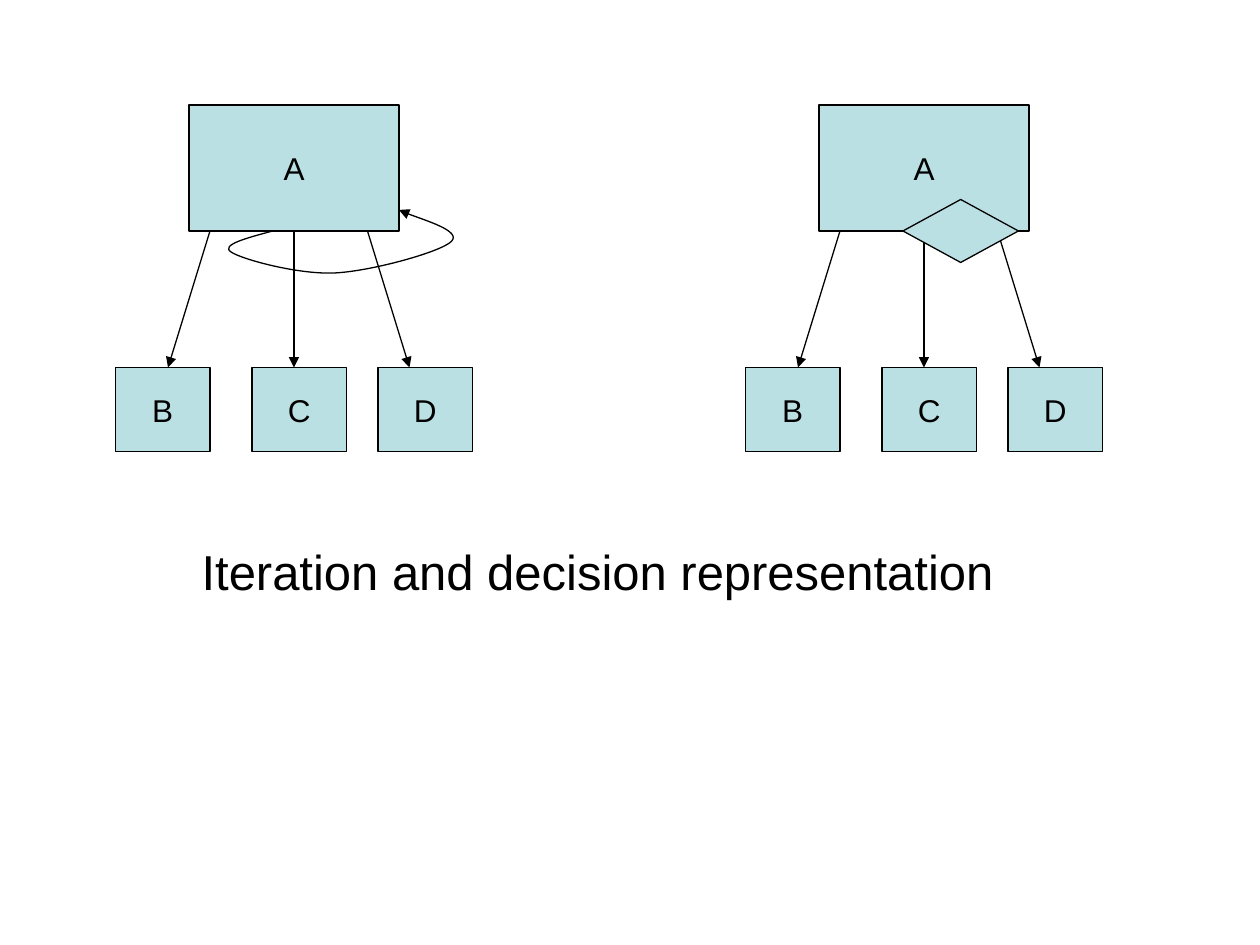
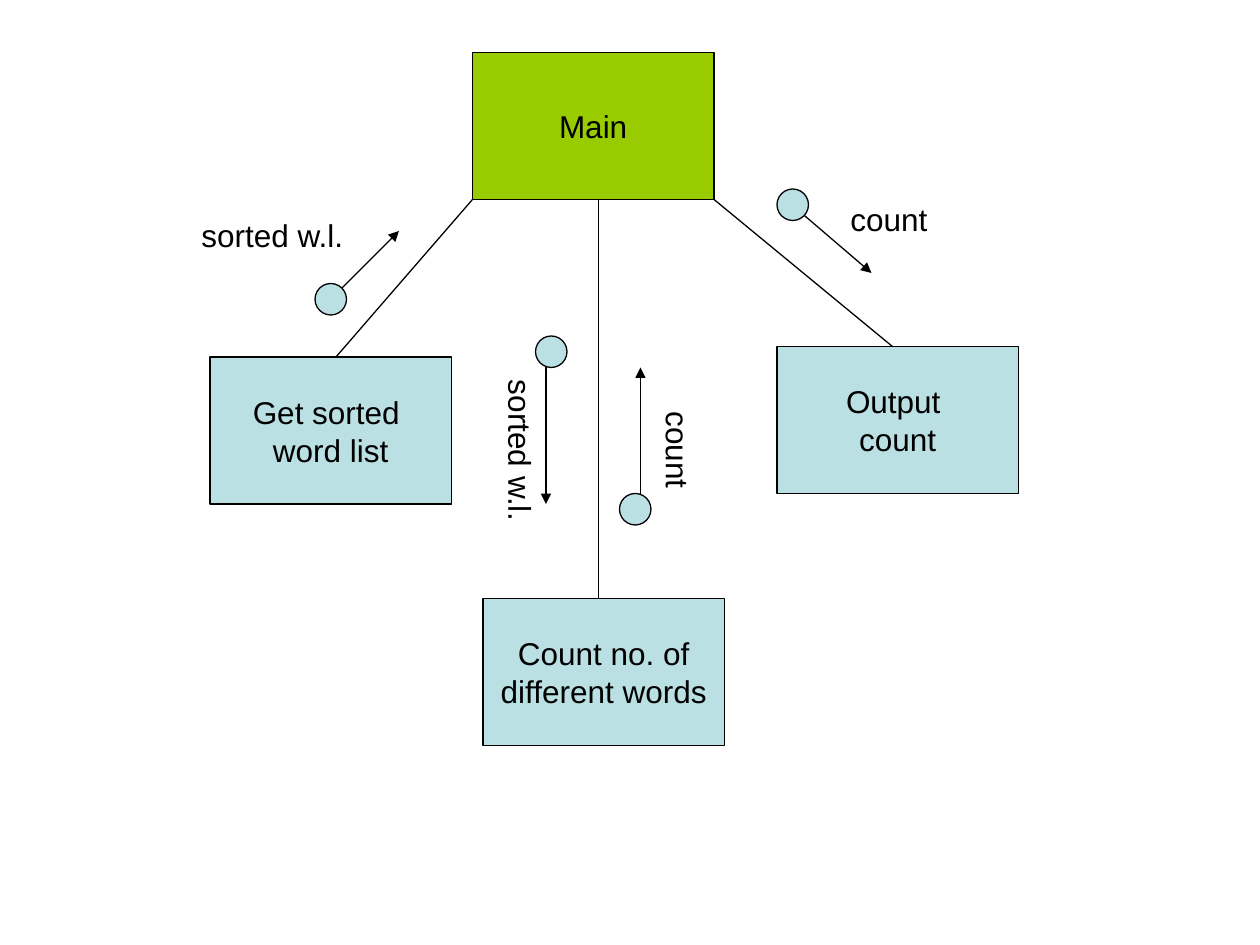
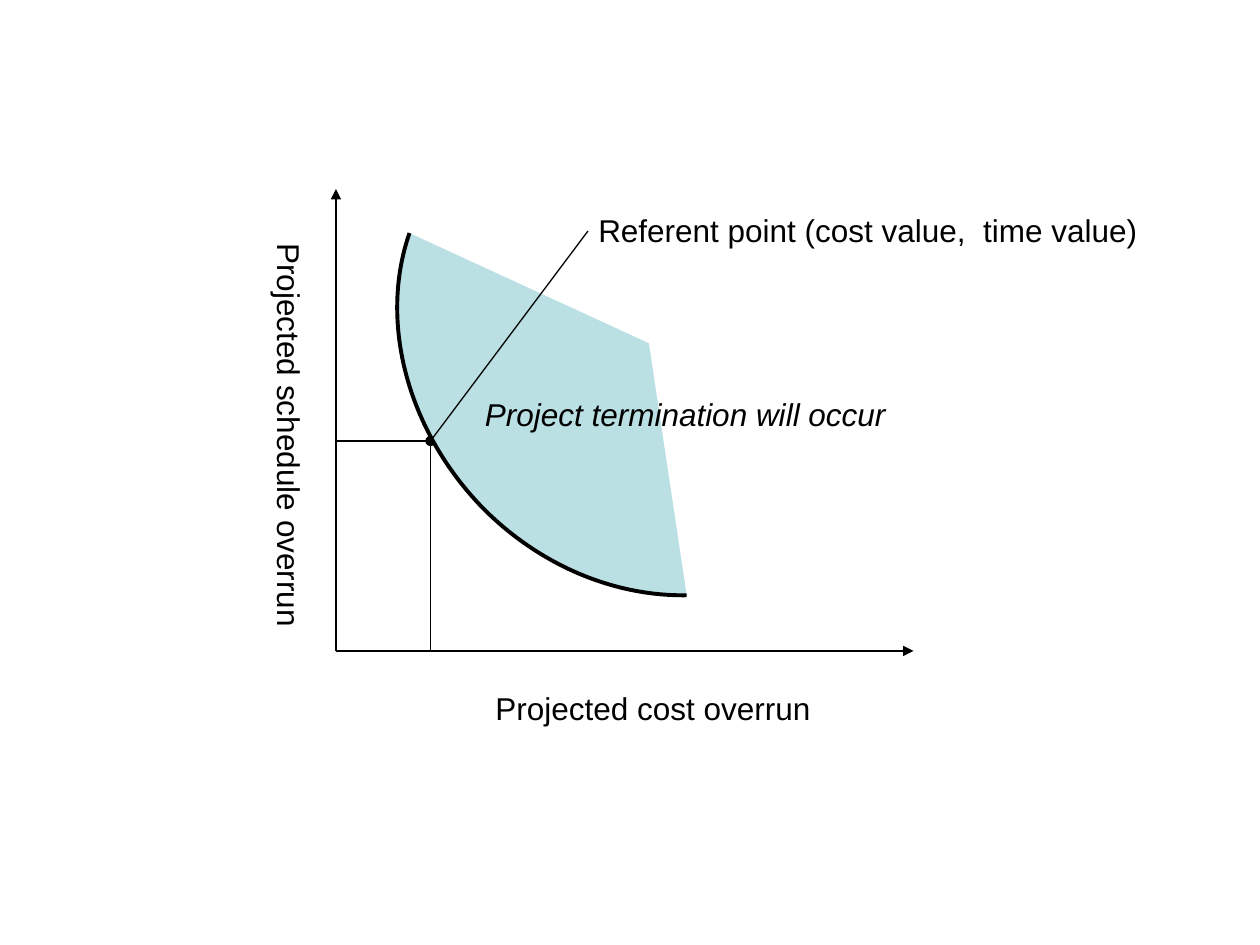
from typing import NamedTuple

from lxml import etree
from pptx import Presentation
from pptx import util as u
from pptx.dml.color import RGBColor
from pptx.enum import shapes, text
from pptx.oxml.ns import qn

FONT = "Arial"
BLACK = "000000"
AQUA = "BBE0E3"
GREEN = "99CC00"
THIN, THICK = 0.75, 2.25
BODY_SIZE, TITLE_SIZE = 18, 28

Point = tuple[float, float]


class Box(NamedTuple):
    left: float
    top: float
    width: float
    height: float
    lines: str = ""
    color: str = AQUA
    kind: shapes.MSO_SHAPE = shapes.MSO_SHAPE.RECTANGLE


class Label(NamedTuple):
    left: float
    top: float
    width: float
    height: float
    words: str
    vertical: bool = False
    italic: bool = False


class Line(NamedTuple):
    start: Point
    end: Point
    tip: str = ""


class Couple(NamedTuple):
    """A data item passed between modules: circle, arrow and label."""
    circle: Point
    arrow: Line
    label: Label


def grid(units: float) -> u.Length:
    """Length of grid units, twelve to the inch."""
    return u.Cm(units * 2.54 / 12)


def rgb(color: str) -> RGBColor:
    return RGBColor.from_string(color)


def format_text(frame, size: float = BODY_SIZE, align=text.PP_ALIGN.LEFT, italic=None) -> None:
    for para in frame.paragraphs:
        para.alignment = align
        for span in para.runs:
            span.font.name = FONT
            span.font.size = u.Pt(size)
            span.font.italic = italic
            span.font.color.rgb = rgb(BLACK)


def set_line(item, tip: str = "", width: float = THIN) -> None:
    item.line.color.rgb = rgb(BLACK)
    item.line.width = u.Pt(width)
    if tip:
        outline = item.element.spPr.find(qn("a:ln"))
        etree.SubElement(outline, qn("a:tailEnd"), type=tip)


def add_box(page, box: Box) -> None:
    shape = page.shapes.add_shape(box.kind, *map(grid, box[:4]))
    shape.shadow.inherit = False
    shape.fill.solid()
    shape.fill.fore_color.rgb = rgb(box.color)
    set_line(shape)
    if box.lines:
        frame = shape.text_frame
        frame.text = box.lines
        frame.word_wrap = False
        frame.vertical_anchor = text.MSO_ANCHOR.MIDDLE
        format_text(frame, align=text.PP_ALIGN.CENTER)


def add_label(page, label: Label) -> None:
    frame = page.shapes.add_textbox(*map(grid, label[:4])).text_frame
    frame.text = label.words
    frame.word_wrap = False
    frame.auto_size = text.MSO_AUTO_SIZE.SHAPE_TO_FIT_TEXT
    if label.vertical:
        frame._txBody.bodyPr.set("vert", "eaVert")
    format_text(frame, italic=label.italic or None)


def add_line(page, line: Line) -> None:
    connector = page.shapes.add_connector(
        shapes.MSO_CONNECTOR.STRAIGHT, *map(grid, line.start + line.end))
    set_line(connector, line.tip)
    etree.SubElement(connector.element.spPr, qn("a:effectLst"))


def add_curve(page, points: list[Point], corner: Point | None = None):
    """Draw Bézier curves, three points each after the first; a corner closes the area."""
    start, *rest = [(grid(x), grid(y)) for x, y in points + ([corner] if corner else [])]
    builder = page.shapes.build_freeform(*start)
    builder.add_line_segments(rest, close=corner is not None)
    shape = builder.convert_to_shape()
    shape.shadow.inherit = False
    path = next(shape.element.iter(qn("a:path")))
    segments = path.findall(qn("a:lnTo"))
    for first in range(0, len(points) - 1, 3):
        curve = etree.Element(qn("a:cubicBezTo"))
        segments[first].addprevious(curve)
        for segment in segments[first:first + 3]:
            curve.append(segment[0])
            path.remove(segment)
    return shape


def add_module_tree(page, left: float) -> None:
    """Draw module A calling modules B, C and D."""
    add_box(page, Box(left + 7, 10, 20, 12, "A"))
    for start, end in ((9, 5), (17, 17), (24, 28)):
        add_line(page, Line((left + start, 22), (left + end, 35), "triangle"))
    for offset, name in ((0, "B"), (13, "C"), (25, "D")):
        add_box(page, Box(left + offset, 35, 9, 8, name))


def add_iteration_page(deck) -> None:
    page = deck.slides.add_slide(deck.slide_layouts.get_by_name("Title Only"))
    add_module_tree(page, 11)
    loop = add_curve(page, [
        (26, 22), (23.5, 22.67), (21, 23.33), (22, 24),
        (23, 24.7), (28.5, 26.2), (32, 26),
        (35.5, 25.8), (42, 24), (43, 23),
        (44, 22), (38.9, 20.5), (38, 20)])
    loop.fill.background()
    set_line(loop, "triangle")
    add_module_tree(page, 71)
    add_box(page, Box(86, 19, 11, 6, kind=shapes.MSO_SHAPE.DIAMOND))

    title = page.shapes.title
    title.left, title.top, title.width, title.height = map(grid, (18, 51, 79.7, 6.8))
    frame = title.text_frame
    frame.text = "Iteration and decision representation"
    frame.vertical_anchor = text.MSO_ANCHOR.TOP
    frame.auto_size = text.MSO_AUTO_SIZE.NONE
    format_text(frame, TITLE_SIZE)


def add_structure_page(deck) -> None:
    page = deck.slides.add_slide(deck.slide_layouts.get_by_name("Blank"))
    for left, top, lines, color in (
            (45, 5, "Main", GREEN),
            (74, 33, "Output \ncount", AQUA),
            (20, 34, "Get sorted \nword list", AQUA),
            (46, 57, "Count no. of\ndifferent words", AQUA)):
        add_box(page, Box(left, top, 23, 14, lines, color))
    for start, end in (((45, 19), (32, 34)), ((68, 19), (85, 33)), ((57, 19), (57, 57))):
        add_line(page, Line(start, end))

    couples = (
        Couple((30, 27), Line((32, 28), (38, 22), "triangle"),
               Label(18, 20, 16.1, 4.8, "sorted w.l.")),
        Couple((74, 18), Line((76, 20), (83, 26), "triangle"),
               Label(79.8, 18.5, 9.7, 4.8, "count")),
        Couple((51, 32), Line((52, 34), (52, 48), "triangle"),
               Label(46, 35, 6, 14.9, "sorted w.l.", vertical=True)),
        Couple((59, 47), Line((61, 48), (61, 35), "triangle"),
               Label(61, 38, 6, 8.5, "count", vertical=True)),
    )
    for couple in couples:
        add_line(page, couple.arrow)
        add_box(page, Box(*couple.circle, 3, 3, kind=shapes.MSO_SHAPE.OVAL))
        add_label(page, couple.label)


def add_referent_page(deck) -> None:
    page = deck.slides.add_slide(deck.slide_layouts.get_by_name("Blank"))
    origin, referent = (32, 62), (41, 42)
    add_line(page, Line(origin, (32, 18), "triangle"))
    add_line(page, Line(origin, (87, 62), "triangle"))
    add_line(page, Line((origin[0], referent[1]), referent))
    add_line(page, Line((referent[0], origin[1]), referent, "oval"))

    limit = [(65.4, 56.7), (58.4, 56.8), (51.4, 53.8), (46.1, 48.5),
             (38.9, 41.2), (36, 30.8), (39, 22.2)]
    area = add_curve(page, limit, corner=(61.8, 32.7))
    area.fill.solid()
    area.fill.fore_color.rgb = rgb(AQUA)
    area.line.fill.background()
    edge = add_curve(page, limit)
    edge.fill.background()
    set_line(edge, width=THICK)

    add_line(page, Line(referent, (56, 22)))
    for label in (
            Label(46, 65, 32.4, 4.8, "Projected cost overrun"),
            Label(24, 22, 6, 37.7, "Projected schedule overrun", vertical=True),
            Label(45, 37, 40.6, 4.8, "Project termination will occur", italic=True),
            Label(55.8, 19.5, 53.8, 4.8, "Referent point (cost value,  time value)")):
        add_label(page, label)


def main() -> None:
    deck = Presentation()
    deck.slide_width, deck.slide_height = u.Cm(25.4), u.Cm(19.05)
    add_iteration_page(deck)
    add_structure_page(deck)
    add_referent_page(deck)
    deck.save("out.pptx")


if __name__ == "__main__":
    main()
